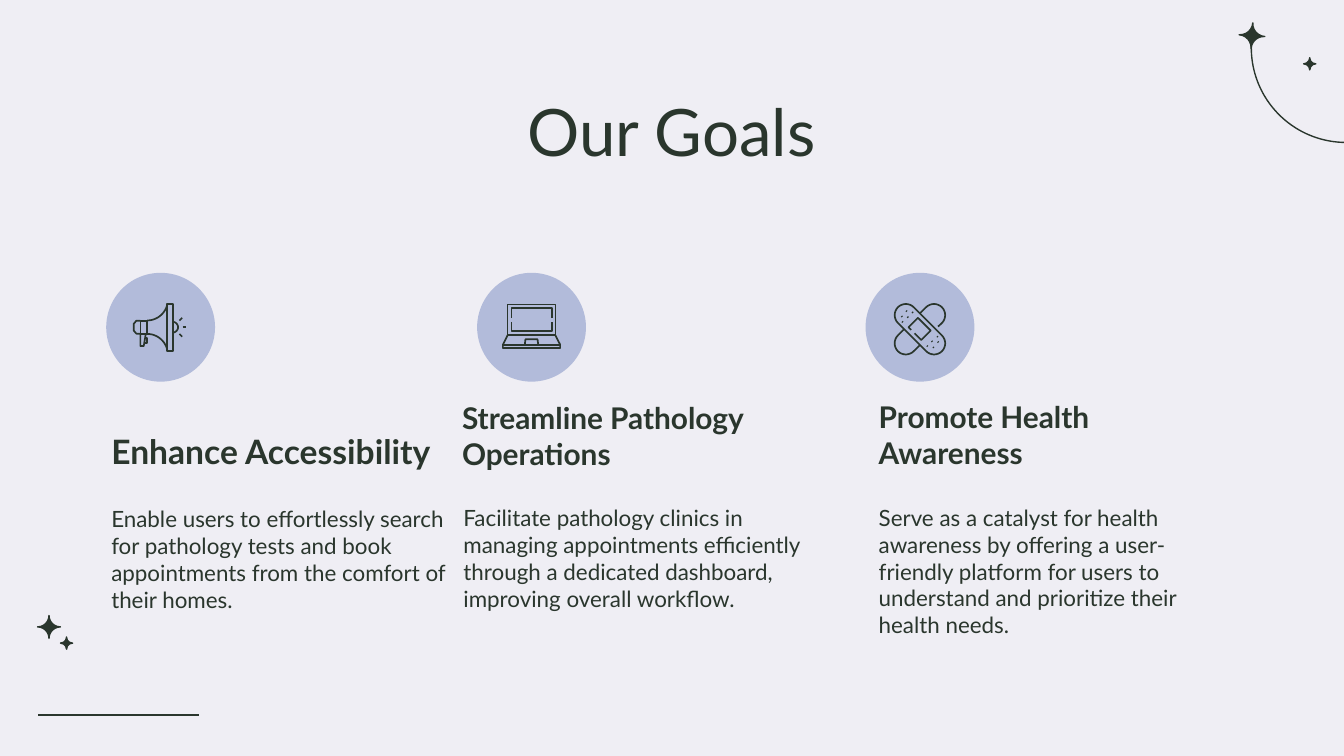
from dataclasses import dataclass
from math import cos, radians, sin

from lxml.etree import SubElement
from pptx import Presentation
from pptx.dml.color import RGBColor
from pptx.enum.shapes import MSO_CONNECTOR, MSO_SHAPE
from pptx.enum.text import MSO_ANCHOR, PP_ALIGN
from pptx.oxml.ns import qn
from pptx.util import Inches, Pt


@dataclass
class Theme:
    font = "Lato"
    ink = RGBColor(0x2A, 0x36, 0x2D)
    disc = RGBColor(0xB2, 0xBB, 0xDA)
    paper = RGBColor(0xEF, 0xEE, 0xF4)
    title = Pt(35)
    body = Pt(12)
    hairline = Pt(0.75)
    icon_line = Pt(0.9)


def arc(x, y, radius, start, end):
    angles = [radians(start + (end - start) * step / 16) for step in range(17)]
    return [(x + radius * cos(angle), y + radius * sin(angle)) for angle in angles]


def write(box, text, size, anchor, bold=False, align=PP_ALIGN.LEFT):
    frame = box.text_frame
    frame.word_wrap = True
    frame.vertical_anchor = anchor
    frame.margin_left = frame.margin_right = Inches(0.1)
    frame.margin_top = frame.margin_bottom = Inches(0.1)
    frame.text = text
    para = frame.paragraphs[0]
    para.alignment = align
    para.font.name = theme.font
    para.font.size = size
    para.font.bold = bold
    para.font.color.rgb = theme.ink


theme = Theme()
deck = Presentation()
deck.slide_width = Inches(10)
deck.slide_height = deck.slide_width * 9 // 16
page = deck.slides.add_slide(deck.slide_layouts[5])
page.background.fill.solid()
page.background.fill.fore_color.rgb = theme.paper

corner = page.shapes.add_shape(
    MSO_SHAPE.ARC, Inches(9.31), Inches(-0.35), Inches(1.41), Inches(1.41))
corner.adjustments[0] = 162
corner.adjustments[1] = 0.4
corner.rotation = 180
corner.shadow.inherit = False
corner.fill.background()
corner.line.color.rgb = theme.ink
corner.line.width = theme.hairline

for left, top, size, turn in [
    (9.22, 0.17, 0.19, 3.9),
    (9.7, 0.43, 0.09, 0),
    (0.28, 4.58, 0.17, 0),
    (0.45, 4.74, 0.09, 0),
]:
    star = page.shapes.add_shape(
        MSO_SHAPE.PLAQUE, Inches(left), Inches(top), Inches(size), Inches(size))
    star.adjustments[0] = 0.5
    star.rotation = turn
    star.shadow.inherit = False
    star.fill.solid()
    star.fill.fore_color.rgb = theme.ink
    star.line.color.rgb = theme.ink
    star.line.width = theme.hairline

rule = page.shapes.add_connector(
    MSO_CONNECTOR.STRAIGHT, Inches(1.48), Inches(5.32), Inches(0.28), Inches(5.32))
rule.line.color.rgb = theme.ink
rule.line.width = theme.hairline
SubElement(rule._element.spPr, qn("a:effectLst"))

title = page.shapes.title
title.left, title.top = Inches(0.78), Inches(0.58)
title.width, title.height = Inches(8.43), Inches(0.63)
write(title, "Our Goals", theme.title, MSO_ANCHOR.TOP, align=PP_ALIGN.CENTER)

megaphone = [
    ([(5, -17.5), (9, -17.5), (9, 18), (5, 18)], True),
    ([(-15, -4.8), (-10, -4.8), (-10, 4.8), (-15, 4.8)], True),
    ([(-15, -4.8), (-18, -4.8), (-20, -2.5), (-20, 2.5), (-18, 4.8), (-15, 4.8)], False),
    ([(-15, 5), (-15, 14), (-12.5, 14), (-11, 5)], False),
    ([(-12, 12), (-10, 12), (-10, 8), (-11, 8)], False),
    (arc(9, 0, 4, -90, 90), False),
    ([(16.5, 0), (19, 0)], False),
]
for side in (-1, 1):
    megaphone.append((arc(-10, side * 20.5, 15.5, side * -90, side * -15), False))
    megaphone.append(([(14, side * 5), (16, side * 7)], False))

laptop = [
    ([(-17.8, 6), (-17.8, -17), (17.8, -17), (17.8, 6)], True),
    ([(-15, -7), (-15, -14.5), (15, -14.5), (15, -7)], False),
    ([(-15, -4), (-15, 3), (15, 3), (15, -4)], False),
    ([(-17.8, 6), (-21.3, 13), (-21.3, 15.5), (21.3, 15.5), (21.3, 13), (17.8, 6)], False),
    ([(-21.3, 13), (21.3, 13)], False),
    ([(-5, 13), (-4.5, 9), (4.5, 9), (5, 13)], False),
]

bandage = [
    (arc(-10.5, -9, 8.3, 135, 315) + arc(10.5, 12, 8.3, -45, 135), True),
    ([(0, -10.3)] + arc(10.5, -9, 8.3, -135, 45) + [(13.5, -0.5)], False),
    ([(0, 13.3)] + arc(-10.5, 12, 8.3, 45, 225) + [(-11.8, 1.5)], False),
    ([(-4, 4.5), (1, 9.5), (8, 2.5), (-1.5, -7), (-8.5, 0), (-6.5, 2)], False),
]
for x, y in [(-13, -4), (-13.5, -8), (-10, -12), (-9, -7.5), (-5.5, -11)]:
    for dot_x, dot_y in [(x, y), (-x, 3 - y)]:
        bandage.append(([(dot_x - 0.3, dot_y - 0.3), (dot_x + 0.3, dot_y + 0.3)], False))

goals = [
    (0.79, megaphone, "Enhance Accessibility", Pt(18), (0.73, 3.07, 2.62),
     "Enable users to effortlessly search for pathology tests and book "
     "appointments from the comfort of their homes.", (0.73, 3.66, 0.92)),
    (3.55, laptop, "Streamline Pathology Operations", Pt(16), (3.34, 3.07, 2.46),
     "Facilitate pathology clinics in managing appointments efficiently through "
     "a dedicated dashboard, improving overall workflow.", (3.35, 3.65, 1.21)),
    (6.44, bandage, "Promote Health Awareness", Pt(16), (6.44, 3.06, 2.46),
     "Serve as a catalyst for health awareness by offering a user-friendly platform "
     "for users to understand and prioritize their health needs.", (6.44, 3.65, 1.14)),
]
disc_top, disc_size = 2.03, 0.81

for disc_left, icon, heading, size, heading_place, detail, detail_place in goals:
    left, top, width = heading_place
    box = page.shapes.add_textbox(Inches(left), Inches(top), Inches(width), Inches(0.54))
    write(box, heading, size, MSO_ANCHOR.BOTTOM, bold=True)

    left, top, height = detail_place
    box = page.shapes.add_textbox(Inches(left), Inches(top), Inches(2.77), Inches(height))
    write(box, detail, theme.body, MSO_ANCHOR.TOP)

    disc = page.shapes.add_shape(
        MSO_SHAPE.OVAL, Inches(disc_left), Inches(disc_top),
        Inches(disc_size), Inches(disc_size))
    disc.shadow.inherit = False
    disc.fill.solid()
    disc.fill.fore_color.rgb = theme.disc
    disc.line.fill.background()

    center_x, center_y = disc_left + disc_size / 2, disc_top + disc_size / 2
    group = page.shapes.add_group_shape()
    for points, closed in icon:
        spots = [(Inches(center_x + x / 100), Inches(center_y + y / 100)) for x, y in points]
        builder = group.shapes.build_freeform(*spots[0])
        builder.add_line_segments(spots[1:], close=closed)
        stroke = builder.convert_to_shape()
        stroke.shadow.inherit = False
        stroke.fill.background()
        stroke.line.color.rgb = theme.ink
        stroke.line.width = theme.icon_line

deck.save("out.pptx")
